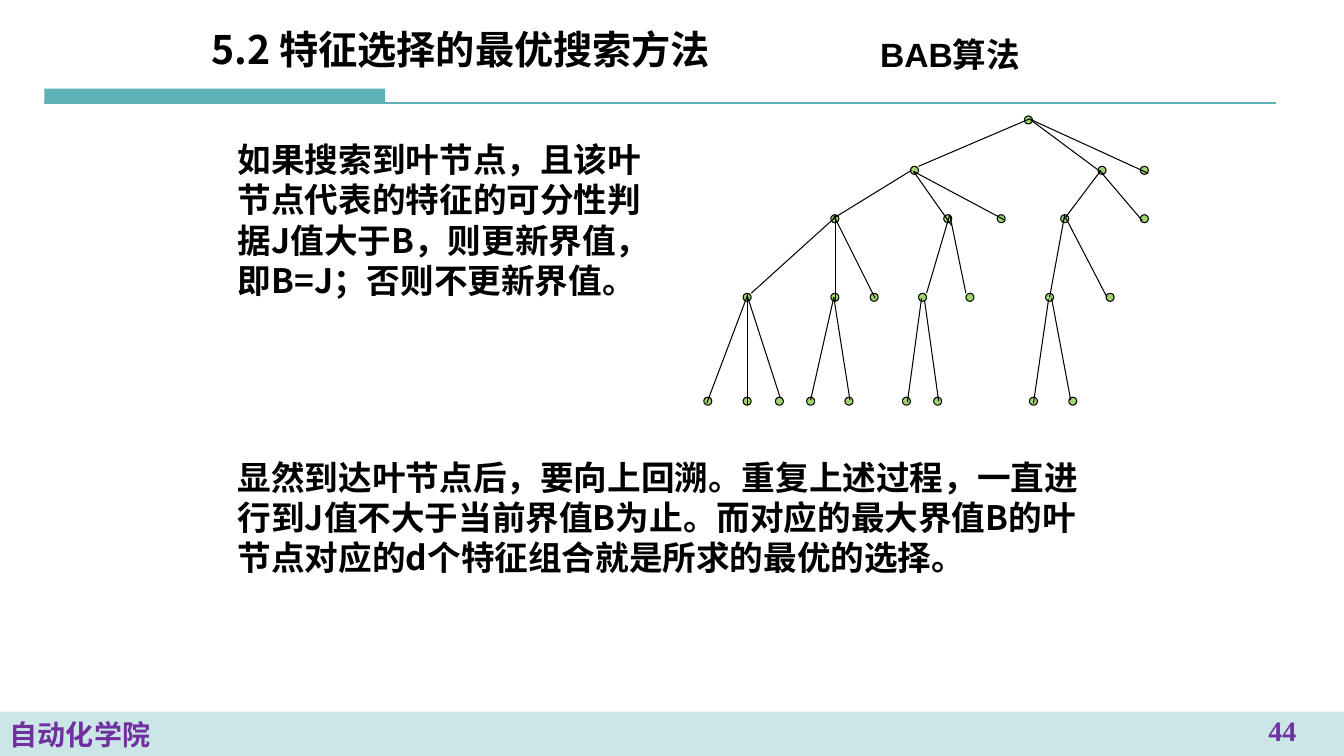
from typing import NamedTuple, Optional

from lxml.etree import SubElement
from pptx import Presentation
from pptx.dml.color import RGBColor
from pptx.enum.shapes import MSO_CONNECTOR, MSO_SHAPE
from pptx.enum.text import MSO_ANCHOR, PP_ALIGN
from pptx.oxml.ns import qn
from pptx.util import Emu, Pt

PX = 9144  # 100 px to the inch
SLIDE_WIDTH, SLIDE_HEIGHT = 1333, 750
NODE_SIZE = 8

TEAL = RGBColor(0x5E, 0xB2, 0xB6)
GREEN = RGBColor(0x9F, 0xD5, 0x6D)
PURPLE = RGBColor(0x70, 0x30, 0xA0)
BLACK = RGBColor(0, 0, 0)

CJK_FONT = "Noto Sans CJK SC"


class Box(NamedTuple):
    left: int
    top: int
    width: int
    height: int


class Edge(NamedTuple):
    x1: int
    y1: int
    x2: int
    y2: int


class Label(NamedTuple):
    text: str
    box: Box
    size: int
    font: str = CJK_FONT
    color: RGBColor = BLACK
    align: PP_ALIGN = PP_ALIGN.LEFT
    anchor: MSO_ANCHOR = MSO_ANCHOR.TOP
    line_height: Optional[float] = None


# Tree levels: top of the row and left edges of its nodes
TREE_LEVELS = {
    115: [1016],
    165: [903, 1089, 1131],
    213: [824, 936, 989, 1052, 1131],
    291: [737, 824, 863, 911, 958, 1037, 1097],
    394: [698, 737, 769, 800, 838, 895, 926, 1021, 1060],
}

TREE_EDGES = [
    # Root to level 1
    Edge(1021, 118, 911, 165), Edge(1021, 118, 1095, 173),
    Edge(1021, 118, 1139, 172),
    # Level 1 to level 2
    Edge(904, 169, 826, 217), Edge(906, 170, 944, 224),
    Edge(906, 170, 996, 218), Edge(1092, 169, 1055, 218),
    Edge(1093, 172, 1133, 219),
    # Level 2 to level 3
    Edge(828, 216, 745, 291), Edge(829, 213, 829, 299),
    Edge(827, 214, 868, 296), Edge(942, 213, 919, 291),
    Edge(942, 213, 958, 291), Edge(1056, 213, 1041, 295),
    Edge(1057, 216, 1098, 295),
    # Level 3 to leaves
    Edge(741, 294, 701, 400), Edge(741, 291, 741, 402),
    Edge(741, 293, 774, 395), Edge(827, 295, 804, 397),
    Edge(827, 295, 843, 397), Edge(914, 296, 900, 399),
    Edge(917, 298, 931, 398), Edge(1040, 297, 1025, 400),
    Edge(1043, 296, 1062, 397),
]

LABELS = [
    Label("5.2 特征选择的最优搜索方法", Box(200, 17, 675, 62), 28,
          anchor=MSO_ANCHOR.MIDDLE),
    Label("BAB算法", Box(863, 29, 189, 50), 24, font="Arial", line_height=28.8),
    Label("如果搜索到叶节点，且该叶节点代表的特征的可分性判据J值大于B，"
          "则更新界值，即B=J；否则不更新界值。",
          Box(226, 133, 425, 172), 24, line_height=28.8),
    Label("显然到达叶节点后，要向上回溯。重复上述过程，一直进行到J值不大于当前界值B为止。"
          "而对应的最大界值B的叶节点对应的d个特征组合就是所求的最优的选择。",
          Box(226, 448, 882, 131), 24, line_height=28.8),
    Label("44", Box(1211, 703, 122, 39), 20, font="Times New Roman",
          color=PURPLE, align=PP_ALIGN.CENTER),
]

FOOTER = Label("自动化学院", Box(0, 706, SLIDE_WIDTH, 44), 20, font="Arial",
               color=PURPLE, anchor=MSO_ANCHOR.MIDDLE)


def to_emu(values: tuple) -> list[Emu]:
    return [Emu(value * PX) for value in values]


def write_text(shape, label: Label) -> None:
    frame = shape.text_frame
    frame.word_wrap = True
    frame.vertical_anchor = label.anchor
    paragraph = frame.paragraphs[0]
    paragraph.alignment = label.align
    if label.line_height:
        paragraph.line_spacing = Pt(label.line_height)
    run = paragraph.add_run()
    run.text = label.text
    run.font.name = label.font
    run.font.size = Pt(label.size)
    run.font.bold = True
    run.font.color.rgb = label.color
    # East Asian typeface
    SubElement(run.font._element, qn("a:ea")).set("typeface", CJK_FONT)


def add_label(slide, label: Label) -> None:
    write_text(slide.shapes.add_textbox(*to_emu(label.box)), label)


def add_filled(slide, kind: MSO_SHAPE, box: Box, fill: RGBColor):
    shape = slide.shapes.add_shape(kind, *to_emu(box))
    shape.shadow.inherit = False
    shape.fill.solid()
    shape.fill.fore_color.rgb = fill
    shape.line.fill.background()
    return shape


def add_node(slide, left: int, top: int) -> None:
    node = add_filled(slide, MSO_SHAPE.OVAL,
                      Box(left, top, NODE_SIZE, NODE_SIZE), GREEN)
    node.line.color.rgb = BLACK
    node.line.width = Pt(0.75)


def add_edge(slide, edge: Edge, color: RGBColor, width: float) -> None:
    line = slide.shapes.add_connector(MSO_CONNECTOR.STRAIGHT, *to_emu(edge))
    line.line.color.rgb = color
    line.line.width = Pt(width)
    SubElement(line._element.spPr, qn("a:effectLst"))


def add_footer(slide) -> None:
    footer = add_filled(slide, MSO_SHAPE.RECTANGLE, FOOTER.box, TEAL)
    color = footer._element.spPr.find(qn("a:solidFill")).find(qn("a:srgbClr"))
    SubElement(color, qn("a:alpha")).set("val", "32000")
    write_text(footer, FOOTER)


def main() -> None:
    presentation = Presentation()
    presentation.slide_width, presentation.slide_height = to_emu(
        (SLIDE_WIDTH, SLIDE_HEIGHT))
    slide = presentation.slides.add_slide(presentation.slide_layouts[6])

    # Header rule and footer band
    add_filled(slide, MSO_SHAPE.RECTANGLE, Box(44, 88, 338, 14), TEAL)
    add_edge(slide, Edge(44, 102, 1266, 102), TEAL, 1.5)
    add_footer(slide)

    # Search tree
    for top, lefts in TREE_LEVELS.items():
        for left in lefts:
            add_node(slide, left, top)
    for edge in TREE_EDGES:
        add_edge(slide, edge, BLACK, 0.75)

    # Title, body text and page number
    for label in LABELS:
        add_label(slide, label)

    presentation.save("out.pptx")


if __name__ == "__main__":
    main()
